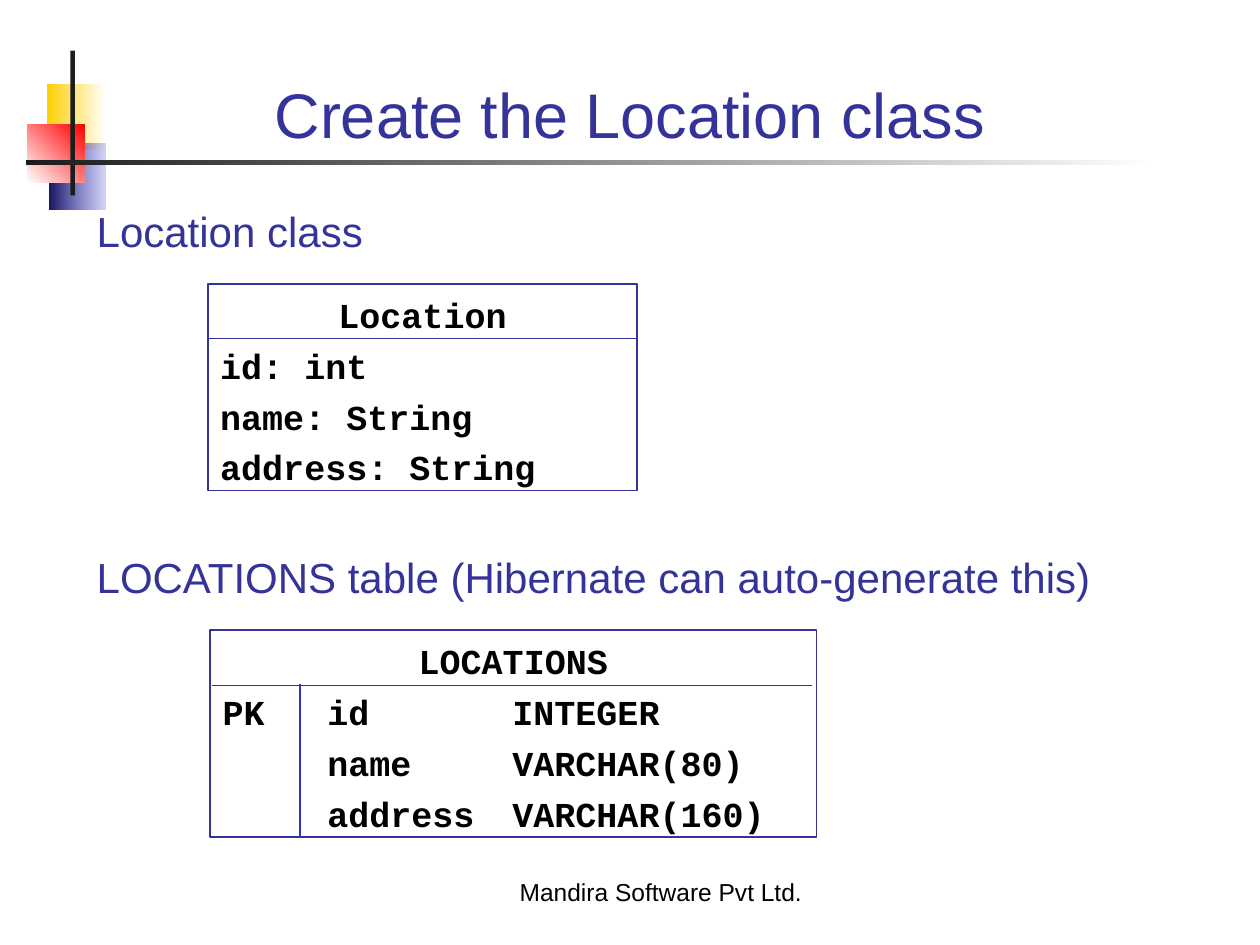
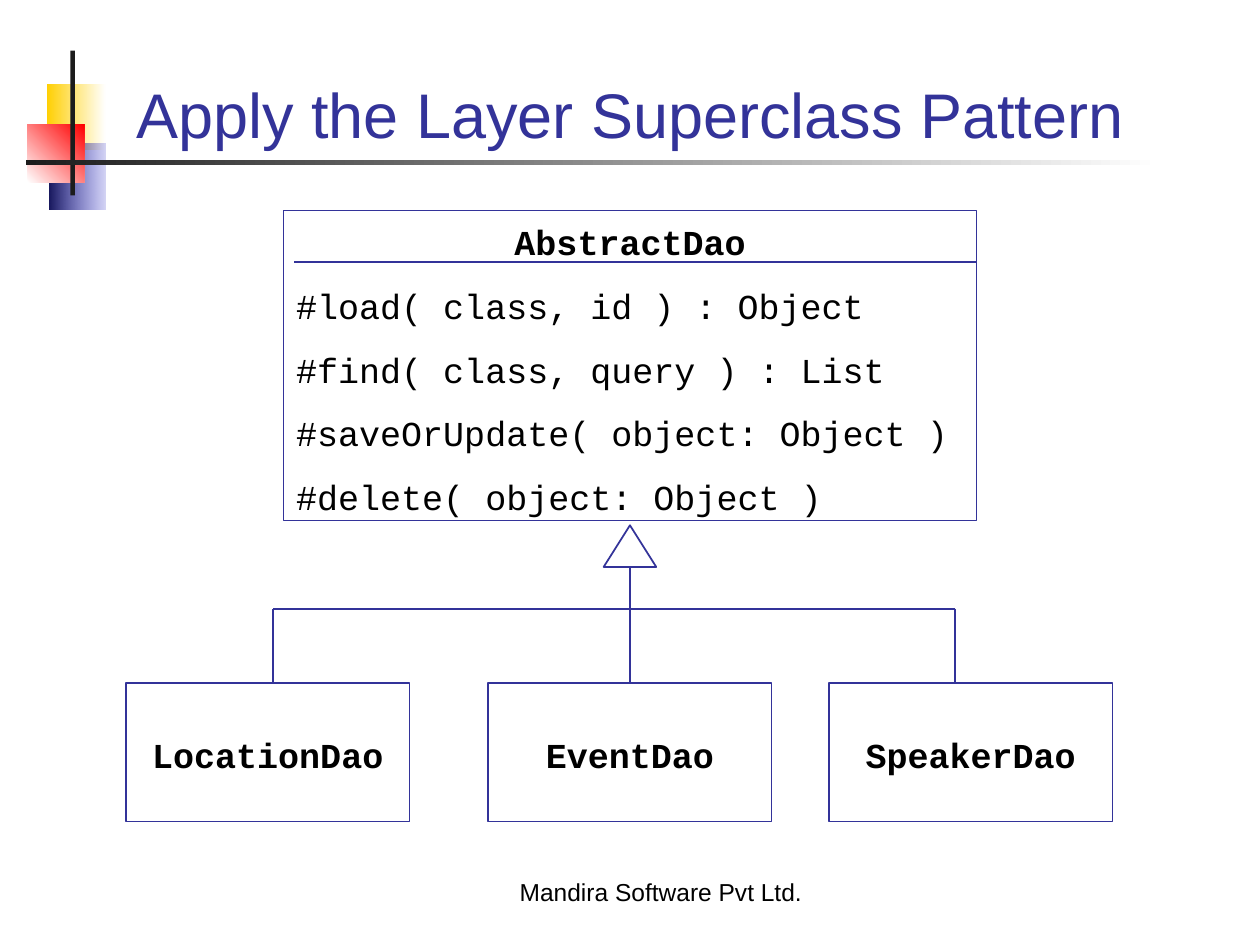
import pptx
import pptx.dml.color
import pptx.enum.shapes
import pptx.enum.text
import pptx.oxml
import pptx.oxml.ns
import pptx.util
from lxml import etree

Cm = pptx.util.Cm
Pt = pptx.util.Pt
RGBColor = pptx.dml.color.RGBColor
Align = pptx.enum.text.PP_ALIGN
Anchor = pptx.enum.text.MSO_ANCHOR
Preset = pptx.enum.shapes.MSO_SHAPE
qn = pptx.oxml.ns.qn

INDIGO = RGBColor(0x33, 0x33, 0x99)
BLUE = RGBColor(0x33, 0x33, 0xCC)
NAVY = RGBColor(0x18, 0x18, 0x5E)
YELLOW = RGBColor(0xFF, 0xCF, 0x01)
RED = RGBColor(0xFF, 0x00, 0x00)
CHARCOAL = RGBColor(0x1C, 0x1C, 0x1C)
WHITE = RGBColor(0xFF, 0xFF, 0xFF)
BLACK = RGBColor(0x00, 0x00, 0x00)

SANS = "Arial"
MONO = "Courier New"
FOOTER = "Mandira Software Pvt Ltd."


class Deck:
    """Holds the shared style and the slide being built."""

    def __init__(self):
        self.presentation = pptx.Presentation()
        self.presentation.slide_width = Cm(25.4)
        self.presentation.slide_height = Cm(19.05)
        self.slide = None

    def start_slide(self, title):
        blank = self.presentation.slide_layouts[6]
        self.slide = self.presentation.slides.add_slide(blank)
        self.emblem()
        self.label(title, 1.7, 0.76, 22, 2.41, 36, INDIGO,
                   align=Align.CENTER, anchor=Anchor.BOTTOM)
        self.label(FOOTER, 9.3, 17.12, 8.05, 1.27, 14, BLACK,
                   align=Align.CENTER, anchor=Anchor.BOTTOM)

    def shape(self, preset, left, top, width, height):
        shape = self.slide.shapes.add_shape(
            preset, Cm(left), Cm(top), Cm(width), Cm(height))
        shape.shadow.inherit = False
        shape.line.fill.background()
        return shape

    def gradient(self, left, top, width, height, first, last, angle=0):
        block = self.shape(Preset.RECTANGLE, left, top, width, height)
        block.fill.gradient()
        block.fill.gradient_angle = angle
        for stop, color in zip(block.fill.gradient_stops, (first, last)):
            stop.color.rgb = color
        return block

    def emblem(self):
        self.gradient(0.94, 1.7, 1.19, 1.32, YELLOW, WHITE)
        navy_block = self.gradient(0.99, 2.9, 1.14, 1.32, NAVY, BLUE)
        # The blue end of the navy block is 20 % opaque
        end_color = list(navy_block.fill._xPr.iter(qn("a:srgbClr")))[-1]
        etree.SubElement(end_color, qn("a:alpha"), val="20000")
        self.gradient(0.56, 2.51, 1.14, 1.17, WHITE, RED, angle=45)
        upright = self.shape(Preset.RECTANGLE, 1.42, 1.02, 0.09, 2.92)
        upright.fill.solid()
        upright.fill.fore_color.rgb = CHARCOAL
        self.gradient(0.53, 3.23, 22.86, 0.09, CHARCOAL, WHITE)

    def format(self, paragraph, size, color, font, bold=False):
        for run in paragraph.runs:
            run.font.size = Pt(size)
            run.font.color.rgb = color
            run.font.name = font
            run.font.bold = bold

    def label(self, text, left, top, width, height, size, color,
              align=Align.LEFT, anchor=Anchor.TOP):
        box = self.slide.shapes.add_textbox(
            Cm(left), Cm(top), Cm(width), Cm(height))
        frame = box.text_frame
        frame.word_wrap = True
        frame.vertical_anchor = anchor
        frame.text = text
        frame.paragraphs[0].alignment = align
        self.format(frame.paragraphs[0], size, color, SANS)

    def heading(self, text, top):
        self.label(text, 1.7, top, 22, 1.73, 24, INDIGO)

    def class_box(self, name, members, left, top, width, height, gap=0,
                  weight=0.75, bold=True, tabs=(), anchor=Anchor.TOP):
        """A frame with a centred bold name above its members."""
        box = self.shape(Preset.RECTANGLE, left, top, width, height)
        box.fill.background()
        box.line.color.rgb = INDIGO
        box.line.width = Pt(weight)
        frame = box.text_frame
        frame.word_wrap = True
        frame.vertical_anchor = anchor
        frame.margin_top = Cm(0.2)
        frame.text = "\n".join([name, *members])
        for index, paragraph in enumerate(frame.paragraphs):
            if tabs:
                tab_list = etree.SubElement(
                    paragraph._p.get_or_add_pPr(), qn("a:tabLst"))
                for tab in tabs:
                    etree.SubElement(tab_list, qn("a:tab"),
                                     pos=str(Cm(tab)), algn="l")
            paragraph.alignment = Align.LEFT if index else Align.CENTER
            paragraph.line_spacing = Pt(24)
            if index:
                paragraph.space_before = Pt(gap)
            self.format(paragraph, 20, BLACK, MONO, bold or index == 0)
        return box

    def line(self, x1, y1, x2, y2, weight=0.75, color=INDIGO):
        line = self.slide.shapes.add_connector(
            pptx.enum.shapes.MSO_CONNECTOR.STRAIGHT,
            Cm(x1), Cm(y1), Cm(x2), Cm(y2))
        line.line.color.rgb = color
        line.line.width = Pt(weight)
        etree.SubElement(line._element.spPr, qn("a:effectLst"))
        return line

    def triangle(self, left, top, width, height):
        head = self.shape(Preset.ISOSCELES_TRIANGLE, left, top, width, height)
        head.fill.solid()
        head.fill.fore_color.rgb = WHITE
        head.line.color.rgb = INDIGO
        head.line.width = Pt(1)


def location_slide(deck):
    deck.start_slide("Create the Location class")

    # Class
    deck.heading("Location class", 4.01)
    deck.class_box("Location", ["id: int", "name: String", "address: String"],
                   4.19, 5.72, 8.66, 4.17, gap=5, weight=1)
    deck.line(12.85, 6.83, 4.19, 6.83)

    # Database table
    deck.class_box(
        "LOCATIONS",
        ["PK\tid\tINTEGER", "\tname\tVARCHAR(80)", "\taddress\tVARCHAR(160)"],
        4.24, 12.7, 12.22, 4.17, gap=5, weight=1, tabs=(2.11, 5.84))
    deck.line(16.36, 13.82, 4.27, 13.82)
    deck.line(6.05, 13.79, 6.05, 16.87, color=BLUE)
    deck.heading("LOCATIONS table (Hibernate can auto-generate this)", 11)


def superclass_slide(deck):
    deck.start_slide("Apply the Layer Superclass Pattern")

    # Superclass
    deck.class_box(
        "AbstractDao",
        ["#load( class, id ) : Object", "#find( class, query ) : List",
         "#saveOrUpdate( object: Object )", "#delete( object: Object )"],
        5.72, 4.24, 13.97, 6.25, gap=12.5, bold=False)
    deck.line(19.69, 5.28, 5.92, 5.28)

    # Subclasses
    subclass_top, bus = 13.77, 12.27
    subclasses = {
        name: deck.class_box(name, [], left, subclass_top, 5.72, 2.79,
                             anchor=Anchor.MIDDLE)
        for name, left in (("LocationDao", 2.54), ("EventDao", 9.84),
                           ("SpeakerDao", 16.71))}

    # Inheritance tree
    deck.triangle(12.17, 10.59, 1.06, 0.84)
    deck.line(5.51, bus, 19.25, bus, weight=1)
    for branch in (5.51, 19.25):
        deck.line(branch, bus, branch, subclass_top, weight=1)
    trunk = deck.line(12.7, 11.43, 12.7, subclass_top, weight=1)
    trunk.end_connect(subclasses["EventDao"], 0)


def main():
    deck = Deck()
    location_slide(deck)
    superclass_slide(deck)
    deck.presentation.save("out.pptx")


if __name__ == "__main__":
    main()
